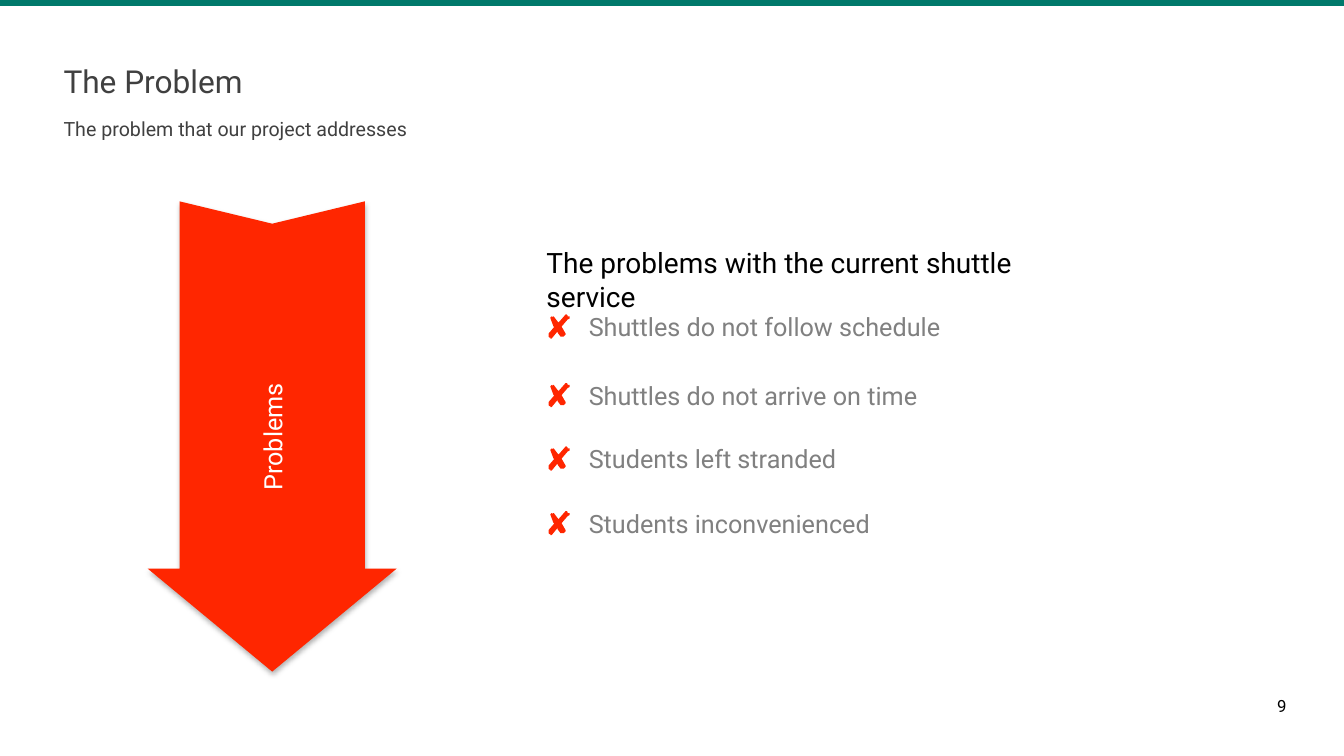
from lxml import etree
from pptx import Presentation
from pptx.dml.color import RGBColor
from pptx.enum import shapes, text
from pptx.oxml import ns
from pptx.util import Inches, Pt

TEAL = RGBColor(0x00, 0x79, 0x6B)
RED = RGBColor(0xFF, 0x26, 0x00)
DARK = RGBColor(0x40, 0x40, 0x40)
GRAY = RGBColor(0x80, 0x80, 0x80)
BLACK = RGBColor(0, 0, 0)
WHITE = RGBColor(0xFF, 0xFF, 0xFF)
UNIT = Inches(0.01)

deck = Presentation()
deck.slide_width, deck.slide_height = Inches(13.33), Inches(7.5)
slide = deck.slides.add_slide(deck.slide_layouts[6])


def write(words, left, top, width, height, size, color, align="LEFT",
          anchor="TOP", wrap=True, space=1.0):
    box = slide.shapes.add_textbox(*map(Inches, (left, top, width, height)))
    frame = box.text_frame
    frame.word_wrap = wrap
    frame.vertical_anchor = text.MSO_ANCHOR[anchor]
    frame.margin_left = frame.margin_right = Inches(0.05)
    frame.margin_top = frame.margin_bottom = Inches(0.05)
    para = frame.paragraphs[0]
    para.alignment = text.PP_ALIGN[align]
    para.line_spacing = space
    run = para.add_run()
    run.text = words
    run.font.name = "Roboto"
    run.font.size = Pt(size)
    run.font.color.rgb = color
    return box


def outline(points, left=0, top=0):
    """Draw a closed red shape from points in hundredths of an inch."""
    pen = slide.shapes.build_freeform(*points[0], scale=UNIT)
    pen.add_line_segments(points[1:], close=True)
    form = pen.convert_to_shape(Inches(left), Inches(top))
    form.shadow.inherit = False
    form.fill.solid()
    form.fill.fore_color.rgb = RED
    form.line.fill.background()
    return form


bar = slide.shapes.add_shape(shapes.MSO_SHAPE.RECTANGLE, 0, 0,
                             deck.slide_width, Inches(0.06))
bar.shadow.inherit = False
bar.fill.solid()
bar.fill.fore_color.rgb = TEAL
bar.line.fill.background()

write("The Problem", 0.58, 0.61, 12.18, 0.47, 22.6, DARK, space=0.9)
write("The problem that our project addresses", 0.58, 1.14, 12.28, 0.37,
      14, DARK, space=0.9)
write("9", 12.6, 6.86, 0.21, 0.29, 12, BLACK, align="RIGHT",
      anchor="MIDDLE", wrap=False)
write("The problems with the current shuttle service", 5.37, 2.39, 5.64, 0.43,
      20, BLACK)

# Arrow with sharp corners and a soft shadow
arrow = outline([(270, 660), (380, 569), (357, 569), (357, 206),
                 (270, 227), (183, 206), (183, 569), (160, 569)])
arrow.line.color.rgb = RED
arrow.line.width = Pt(7)
props = arrow.element.spPr
miter = etree.SubElement(props.find(ns.qn("a:ln")), ns.qn("a:miter"))
miter.set("lim", "800000")
shade = etree.SubElement(props.find(ns.qn("a:effectLst")),
                         ns.qn("a:outerShdw"), blurRad=str(Pt(4)),
                         dist=str(Pt(2)), dir="5400000", rotWithShape="0")
tint = etree.SubElement(shade, ns.qn("a:srgbClr"), val="000000")
etree.SubElement(tint, ns.qn("a:alpha"), val="30000")

label = write("Problems", 0.43, 4.13, 4.54, 0.41, 18, WHITE,
              align="CENTER", anchor="MIDDLE")
label.rotation = 270

# Problems, each marked with a cross
CROSS = [(18, 0), (17, 0), (10, 8), (9, 7), (6, 3), (5, 2), (4, 2), (4, 3),
         (3, 2), (2, 3), (2, 4), (5, 12), (6, 12), (0, 19), (0, 22), (1, 23),
         (2, 23), (2, 24), (3, 24), (8, 18), (9, 17), (9, 18), (12, 22),
         (15, 22), (16, 21), (17, 20), (17, 19), (13, 12), (19, 5), (21, 4),
         (21, 2), (19, 2), (19, 1)]
items = [("Shuttles do not follow schedule", 3.04),
         ("Shuttles do not arrive on time", 3.72),
         ("Students left stranded", 4.35),
         ("Students inconvenienced", 4.99)]
for words, top in items:
    write(words, 5.79, top, 5.64, 0.41, 18, GRAY)
    outline(CROSS, 5.44, top + 0.08)

deck.save("out.pptx")
